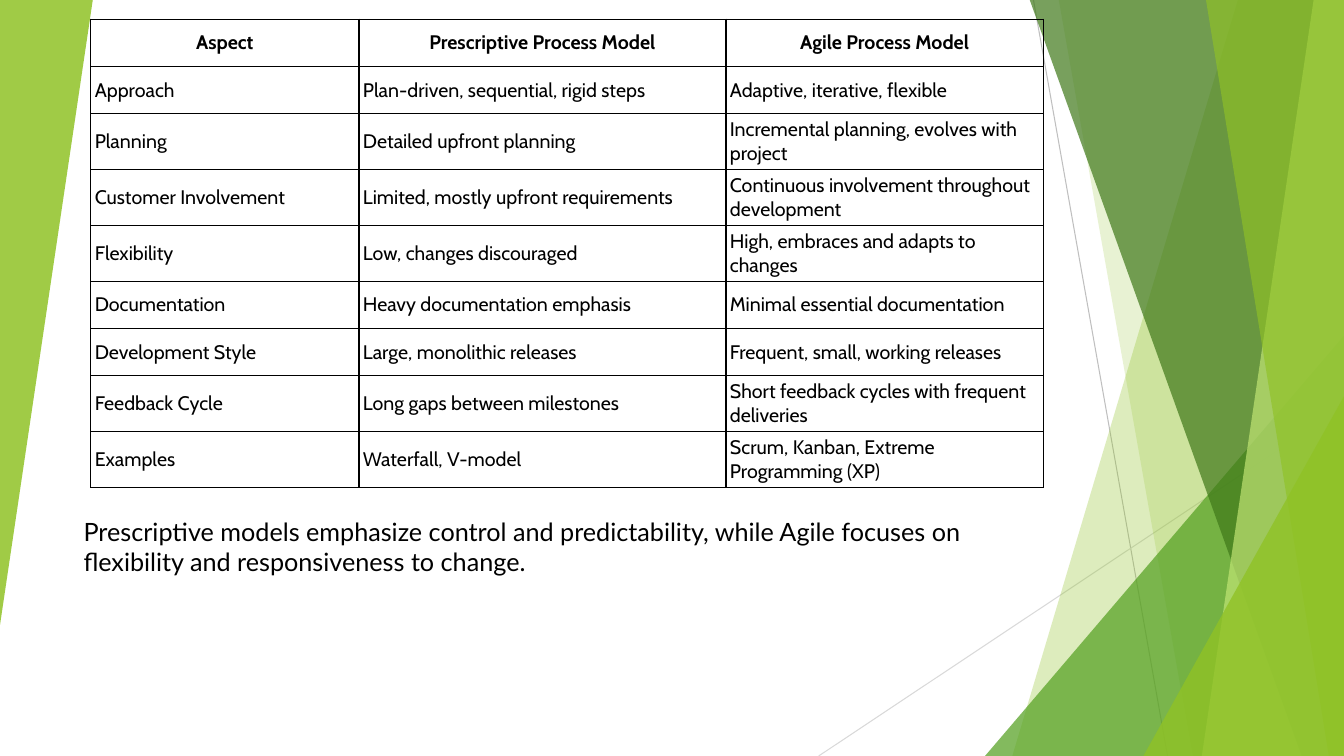
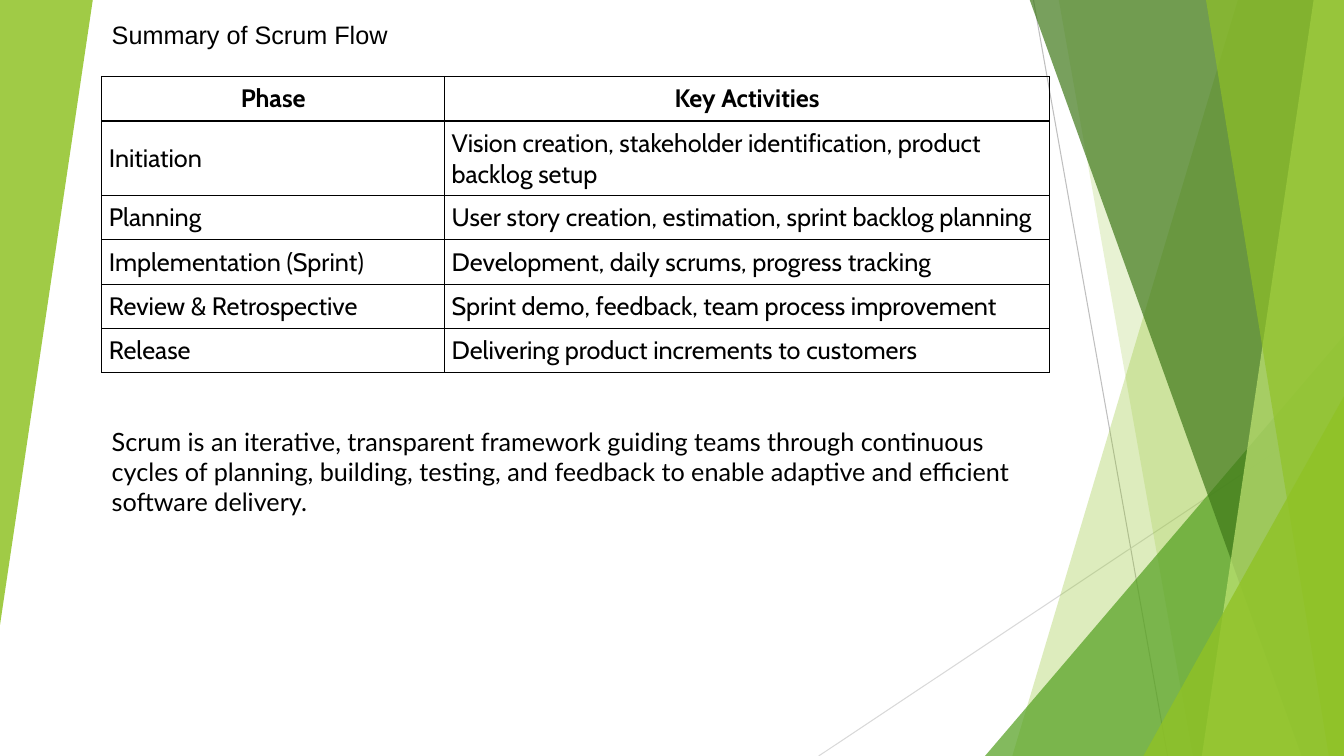
from dataclasses import dataclass
from typing import NamedTuple

from lxml.etree import SubElement
from pptx import Presentation
from pptx.dml.color import RGBColor
from pptx.enum.shapes import MSO_CONNECTOR as Connector, MSO_SHAPE as Preset
from pptx.enum.text import MSO_ANCHOR as Anchor, MSO_AUTO_SIZE as AutoSize, PP_ALIGN as Align
from pptx.oxml.ns import qn
from pptx.shapes.base import BaseShape
from pptx.slide import Slide
from pptx.table import _Cell as Cell
from pptx.text.text import _Paragraph as Paragraph
from pptx.util import Inches, Pt


@dataclass(frozen=True)
class Theme:
    ink: str = "000000"
    lime: str = "90C226"
    green: str = "54A021"
    forest: str = "3F7819"
    pale: str = "C0E474"
    gray: str = "BFBFBF"
    light_gray: str = "D9D9D9"
    title_font: str = "Arial"
    table_font: str = "Cabin"
    body_font: str = "Lato"
    text_size: int = 18
    compact_size: int = 14
    thin_line: float = 0.75
    border: float = 1


THEME = Theme()
WIDTH, HEIGHT, BLEED = 13.33, 7.5, -0.01


class Ray(NamedTuple):
    start: tuple[float, float]
    end: tuple[float, float]
    color: str


class Band(NamedTuple):
    top_left: float
    bottom_left: float
    color: str
    opacity: int


class Wedge(NamedTuple):
    left: float
    top: float
    width: float
    height: float
    color: str
    opacity: int
    rotation: int = 0


class TextBlock(NamedTuple):
    left: float
    top: float
    width: float
    height: float
    text: str
    font: str


class Grid(NamedTuple):
    left: float
    top: float
    widths: list[float]
    row_height: float
    inset: float
    size: int
    rows: list[tuple[str, ...]]


BACKDROP = [
    Ray((10.25, 0), (11.58, HEIGHT), THEME.gray),
    Ray((WIDTH, 4.03), (8.12, HEIGHT), THEME.light_gray),
    Band(12.28, 10.04, THEME.lime, 30),
    Band(10.5, 11.83, THEME.lime, 20),
    Wedge(9.77, 3.33, 3.56, 4.17, THEME.green, 72),
    Band(10.21, 12.91, THEME.forest, 70),
    Band(13.03, 11.92, THEME.pale, 70),
    Band(11.96, 13.18, THEME.lime, 65),
    Wedge(11.34, 3.93, 1.99, 3.57, THEME.lime, 80),
    Wedge(0, 0, 0.92, 6.2, THEME.lime, 85, 180),
]

COMPARISON = Grid(0.9, 0.19, [2.66, 3.64, 3.15], 0.47, 0.04, THEME.compact_size, [
    ("Aspect", "Prescriptive Process Model", "Agile Process Model"),
    ("Approach", "Plan-driven, sequential, rigid steps", "Adaptive, iterative, flexible"),
    ("Planning", "Detailed upfront planning", "Incremental planning, evolves with project"),
    ("Customer Involvement", "Limited, mostly upfront requirements",
     "Continuous involvement throughout development"),
    ("Flexibility", "Low, changes discouraged", "High, embraces and adapts to changes"),
    ("Documentation", "Heavy documentation emphasis", "Minimal essential documentation"),
    ("Development Style", "Large, monolithic releases", "Frequent, small, working releases"),
    ("Feedback Cycle", "Long gaps between milestones",
     "Short feedback cycles with frequent deliveries"),
    ("Examples", "Waterfall, V-model", "Scrum, Kanban, Extreme Programming (XP)"),
])

SCRUM_FLOW = Grid(1.01, 0.76, [3.4, 6], 0.43, 0.07, THEME.text_size, [
    ("Phase", "Key Activities"),
    ("Initiation", "Vision creation, stakeholder identification, product backlog setup"),
    ("Planning", "User story creation, estimation, sprint backlog planning"),
    ("Implementation (Sprint)", "Development, daily scrums, progress tracking"),
    ("Review & Retrospective", "Sprint demo, feedback, team process improvement"),
    ("Release", "Delivering product increments to customers"),
])

PAGES = [
    [
        COMPARISON,
        TextBlock(0.73, 5.07, 9.52, 0.71,
                  "Prescriptive models emphasize control and predictability, while Agile "
                  "focuses on flexibility and responsiveness to change.", THEME.body_font),
    ],
    [
        TextBlock(1.01, 0.14, 8.85, 0.4, "Summary of Scrum Flow", THEME.title_font),
        SCRUM_FLOW,
        TextBlock(1.01, 4.18, 9.4, 1.01,
                  "Scrum is an iterative, transparent framework guiding teams through "
                  "continuous cycles of planning, building, testing, and feedback to enable "
                  "adaptive and efficient software delivery.", THEME.body_font),
    ],
]


def rgb(color: str) -> RGBColor:
    return RGBColor.from_string(color)


def set_font(para: Paragraph, name: str, size: int, bold: bool = False) -> None:
    para.font.name = name
    para.font.size = Pt(size)
    para.font.bold = bold
    para.font.color.rgb = rgb(THEME.ink)


def tint(shape: BaseShape, color: str, opacity: int) -> None:
    shape.shadow.inherit = False
    shape.line.fill.background()
    shape.fill.solid()
    shape.fill.fore_color.rgb = rgb(color)
    swatch = shape.element.spPr.find(qn("a:solidFill")).find(qn("a:srgbClr"))
    SubElement(swatch, qn("a:alpha"), val=str(opacity * 1000))


def draw_ray(page: Slide, ray: Ray) -> None:
    ends = [Inches(value) for value in (*ray.start, *ray.end)]
    line = page.shapes.add_connector(Connector.STRAIGHT, *ends)
    line.line.color.rgb = rgb(ray.color)
    line.line.width = Pt(THEME.thin_line)
    SubElement(line.element.spPr, qn("a:effectLst"))


def draw_band(page: Slide, band: Band) -> None:
    corners = [(band.top_left, BLEED), (WIDTH, BLEED), (WIDTH, HEIGHT), (band.bottom_left, HEIGHT)]
    points = [(Inches(x), Inches(y)) for x, y in corners]
    outline = page.shapes.build_freeform(*points[0])
    outline.add_line_segments(points[1:], close=True)
    tint(outline.convert_to_shape(), band.color, band.opacity)


def draw_wedge(page: Slide, wedge: Wedge) -> None:
    frame = [Inches(value) for value in wedge[:4]]
    triangle = page.shapes.add_shape(Preset.ISOSCELES_TRIANGLE, *frame)
    triangle.adjustments[0] = 1
    triangle.rotation = wedge.rotation
    tint(triangle, wedge.color, wedge.opacity)


def draw_text(page: Slide, block: TextBlock) -> None:
    box = page.shapes.add_textbox(*[Inches(value) for value in block[:4]])
    box.text_frame.word_wrap = True
    box.text_frame.auto_size = AutoSize.SHAPE_TO_FIT_TEXT
    para = box.text_frame.paragraphs[0]
    para.text = block.text
    set_font(para, block.font, THEME.text_size)


def add_borders(cell: Cell) -> None:
    properties = cell._tc.get_or_add_tcPr()
    for side in ("a:lnL", "a:lnR", "a:lnT", "a:lnB"):
        edge = SubElement(properties, qn(side), w=str(Pt(THEME.border)))
        SubElement(SubElement(edge, qn("a:solidFill")), qn("a:srgbClr"), val=THEME.ink)


def fill_cell(cell: Cell, text: str, grid: Grid, header: bool) -> None:
    add_borders(cell)
    cell.fill.background()
    cell.vertical_anchor = Anchor.MIDDLE
    cell.margin_left = cell.margin_right = Inches(grid.inset)
    cell.margin_top = cell.margin_bottom = Inches(grid.inset)
    para = cell.text_frame.paragraphs[0]
    para.text = text
    para.alignment = Align.CENTER if header else Align.LEFT
    set_font(para, THEME.table_font, grid.size, header)


def draw_grid(page: Slide, grid: Grid) -> None:
    count = len(grid.rows)
    table = page.shapes.add_table(
        count, len(grid.widths), Inches(grid.left), Inches(grid.top),
        Inches(sum(grid.widths)), Inches(grid.row_height * count)).table
    table.first_row = table.horz_banding = False
    for column, width in zip(table.columns, grid.widths):
        column.width = Inches(width)
    for index, (row, texts) in enumerate(zip(table.rows, grid.rows)):
        row.height = Inches(grid.row_height)
        for cell, text in zip(row.cells, texts):
            fill_cell(cell, text, grid, index == 0)


DRAWERS = {Ray: draw_ray, Band: draw_band, Wedge: draw_wedge,
           TextBlock: draw_text, Grid: draw_grid}


def main() -> None:
    deck = Presentation()
    deck.slide_width, deck.slide_height = Inches(WIDTH), Inches(HEIGHT)
    for content in PAGES:
        page = deck.slides.add_slide(deck.slide_layouts[6])
        for item in BACKDROP + content:
            DRAWERS[type(item)](page, item)
    deck.save("out.pptx")


if __name__ == "__main__":
    main()
